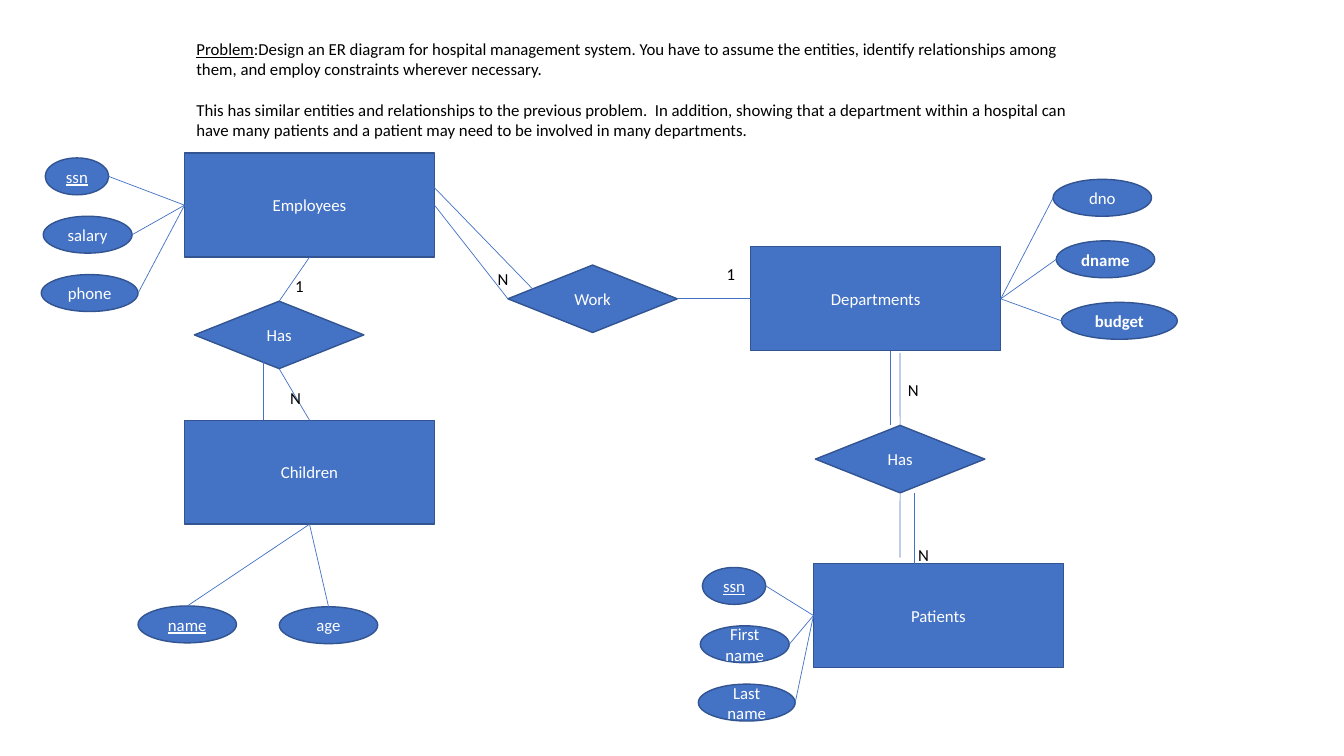
"""Build a slide with an ER diagram for a hospital management system."""
from lxml import etree
from pptx import Presentation
from pptx.dml.color import RGBColor
from pptx.enum.shapes import MSO_CONNECTOR, MSO_SHAPE
from pptx.enum.text import MSO_ANCHOR, PP_ALIGN
from pptx.oxml.ns import qn
from pptx.util import Cm, Pt

RECTANGLE, ELLIPSE = MSO_SHAPE.RECTANGLE, MSO_SHAPE.OVAL
DIAMOND = MSO_SHAPE.FLOWCHART_DECISION
STRAIGHT = MSO_CONNECTOR.STRAIGHT
CENTER, MIDDLE = PP_ALIGN.CENTER, MSO_ANCHOR.MIDDLE
TOP, LEFT, BOTTOM, RIGHT = range(4)
OPPOSITE = {TOP: BOTTOM, BOTTOM: TOP, LEFT: RIGHT, RIGHT: LEFT}

BLUE = RGBColor(0x44, 0x72, 0xC4)
DARK_BLUE = RGBColor(0x32, 0x54, 0x91)
WHITE = RGBColor(0xFF, 0xFF, 0xFF)
BLACK = RGBColor(0x00, 0x00, 0x00)
FONT, FONT_SIZE = "Calibri", 12

PROBLEM_HEADING = "Problem"
PROBLEM_TEXT = (":Design an ER diagram for hospital management system. You have to assume "
                "the entities, identify relationships among them, and employ constraints "
                "wherever necessary.")
EXPLANATION = ("This has similar entities and relationships to the previous problem.  In "
               "addition, showing that a department within a hospital can have many patients "
               "and a patient may need to be involved in many departments.")

ENTITY_SIZE = (6.3, 2.62)
ENTITIES = {
    "Employees": (4.65, 3.86),
    "Departments": (18.92, 6.22),
    "Children": (4.65, 10.59),
    "Patients": (20.5, 14.2),
}
RELATIONSHIP_SIZE = (4.27, 1.7)
RELATIONSHIPS = {
    "employs": ("Work", 12.8, 6.68),
    "parent of": ("Has", 4.9, 7.59),
    "treats": ("Has", 20.55, 10.72),
}

ATTRIBUTE_HEIGHT = 0.93
KEY, BOLD, PLAIN = "key", "bold", "plain"
# owner, side of the owner, top of the first, vertical step, (text, left, width, style)
ATTRIBUTES = [
    ("Employees", LEFT, 3.98, 1.47, [
        ("ssn", 1.14, 1.6, KEY), ("salary", 1.09, 2.24, PLAIN), ("phone", 1.04, 2.44, PLAIN)]),
    ("Departments", RIGHT, 4.52, 1.55, [
        ("dno", 26.54, 2.48, PLAIN), ("dname", 26.62, 2.48, BOLD), ("budget", 26.75, 2.92, BOLD)]),
    ("Children", BOTTOM, 15.27, 0.02, [
        ("name", 3.48, 2.48, KEY), ("age", 7.04, 2.48, PLAIN)]),
    ("Patients", LEFT, 14.3, 1.47, [
        ("ssn", 17.7, 1.6, KEY), ("First name", 17.65, 2.24, PLAIN),
        ("Last name", 17.6, 2.44, PLAIN)]),
]

JOINS = [
    (("Employees", RIGHT), ("employs", LEFT)),
    (("employs", RIGHT), ("Departments", LEFT)),
    (("Employees", BOTTOM), ("parent of", TOP)),
    (("parent of", BOTTOM), ("Children", TOP)),
    ((22.68, 8.89), ("treats", TOP)),
    (("treats", BOTTOM), (22.68, 14.05)),
    ((10.92, 4.7), (13.46, 7.32)),
    ((6.63, 9.04), (6.63, 10.59)),
    ((22.45, 8.84), (22.45, 10.72)),
    ((23.04, 12.42), (23.04, 14.2)),
]

LABEL_SIZE = (0.79, 0.76)
LABELS = [("1", 18.06, 6.53), ("N", 12.29, 6.65), ("N", 7.06, 9.65),
          ("1", 7.19, 6.83), ("N", 22.63, 9.45), ("N", 22.89, 13.59)]


def format_runs(paragraph, color, style=PLAIN):
    for run in paragraph.runs:
        run.font.name = FONT
        run.font.size = Pt(FONT_SIZE)
        run.font.color.rgb = color
        run.font.bold = style == BOLD
        run.font.underline = style == KEY


def add_node(slide, kind, text, left, top, width, height, style=PLAIN):
    shape = slide.shapes.add_shape(kind, Cm(left), Cm(top), Cm(width), Cm(height))
    shape.shadow.inherit = False
    shape.fill.solid()
    shape.fill.fore_color.rgb = BLUE
    shape.line.color.rgb = DARK_BLUE
    shape.line.width = Pt(1)
    shape.text_frame.text = text
    shape.text_frame.word_wrap = True
    shape.text_frame.vertical_anchor = MIDDLE
    paragraph = shape.text_frame.paragraphs[0]
    paragraph.alignment = CENTER
    format_runs(paragraph, WHITE, style)
    return shape


def side_point(shape, side):
    middle_x, middle_y = shape.left + shape.width // 2, shape.top + shape.height // 2
    return {
        TOP: (middle_x, shape.top),
        LEFT: (shape.left, middle_y),
        BOTTOM: (middle_x, shape.top + shape.height),
        RIGHT: (shape.left + shape.width, middle_y),
    }[side]


def add_line(slide, start, end):
    connector = slide.shapes.add_connector(STRAIGHT, *start, *end)
    connector.line.color.rgb = BLUE
    connector.line.width = Pt(0.5)
    etree.SubElement(connector.element.spPr, qn("a:effectLst"))
    return connector


def add_join(slide, nodes, start, end):
    points = [side_point(nodes[first], second) if first in nodes else (Cm(first), Cm(second))
              for first, second in (start, end)]
    connector = add_line(slide, *points)
    if start[0] in nodes:
        connector.begin_connect(nodes[start[0]], start[1])
    if end[0] in nodes:
        connector.end_connect(nodes[end[0]], end[1])


def add_text_box(slide, text, left, top, width, height, wrap):
    box = slide.shapes.add_textbox(Cm(left), Cm(top), Cm(width), Cm(height))
    box.text_frame.word_wrap = wrap
    box.text_frame.text = text
    format_runs(box.text_frame.paragraphs[0], BLACK)
    return box.text_frame


def add_problem(slide):
    frame = add_text_box(slide, PROBLEM_HEADING, 4.7, 0.86, 22.63, 2.82, True)
    heading = frame.paragraphs[0]
    heading.add_run().text = PROBLEM_TEXT
    format_runs(heading, BLACK)
    heading.runs[0].font.underline = True
    explanation = frame.add_paragraph()
    explanation.text = EXPLANATION
    explanation.space_before = Pt(14.5)
    format_runs(explanation, BLACK)


def main():
    presentation = Presentation()
    presentation.slide_width, presentation.slide_height = Cm(33.87), Cm(19.05)
    slide = presentation.slides.add_slide(presentation.slide_layouts[6])
    add_problem(slide)

    nodes = {}
    for name, position in ENTITIES.items():
        nodes[name] = add_node(slide, RECTANGLE, name, *position, *ENTITY_SIZE)
    for name, (text, *position) in RELATIONSHIPS.items():
        nodes[name] = add_node(slide, DIAMOND, text, *position, *RELATIONSHIP_SIZE)

    for owner, side, first_top, step, attributes in ATTRIBUTES:
        for index, (text, left, width, style) in enumerate(attributes):
            attribute = add_node(slide, ELLIPSE, text, left, first_top + index * step,
                                 width, ATTRIBUTE_HEIGHT, style)
            connector = add_line(slide, side_point(attribute, OPPOSITE[side]),
                                 side_point(nodes[owner], side))
            connector.end_connect(nodes[owner], side)

    for start, end in JOINS:
        add_join(slide, nodes, start, end)
    for text, left, top in LABELS:
        add_text_box(slide, text, left, top, *LABEL_SIZE, False)
    presentation.save("out.pptx")


if __name__ == "__main__":
    main()
